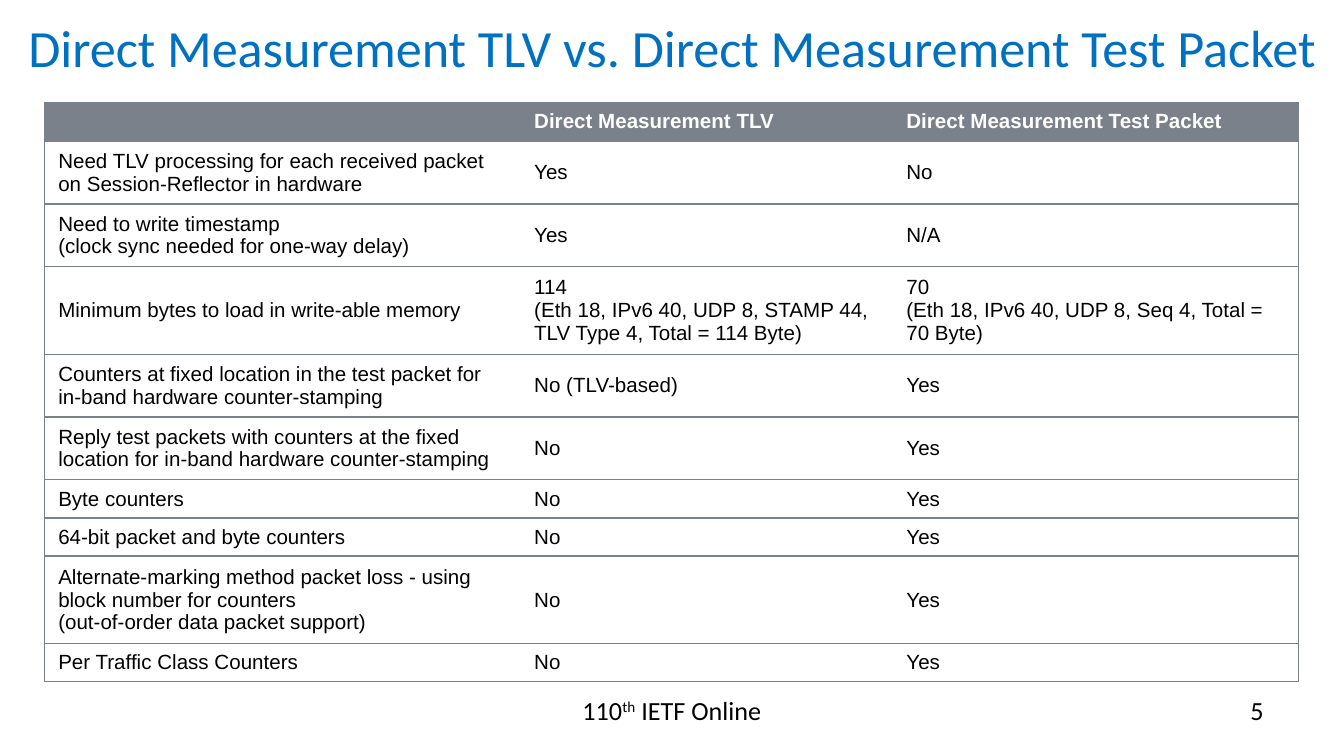
import pptx
import pptx.dml.color
import pptx.enum.text
import pptx.oxml.ns
import pptx.util
from lxml import etree

Pt = pptx.util.Pt
RGBColor = pptx.dml.color.RGBColor
Align = pptx.enum.text.PP_ALIGN
Anchor = pptx.enum.text.MSO_ANCHOR
qn = pptx.oxml.ns.qn

BLUE = RGBColor(0x00, 0x70, 0xC0)
GRAY = RGBColor(0x7B, 0x81, 0x8A)
BLACK = RGBColor(0x00, 0x00, 0x00)
WHITE = RGBColor(0xFF, 0xFF, 0xFF)

COLUMN_WIDTHS = [255, 199.4, 217.4]
LINE_HEIGHTS = {1: 19.5, 2: 31.6, 3: 43.9}
HEADER_HEIGHT = 20.9
HEADER = ["", "Direct Measurement TLV", "Direct Measurement Test Packet"]
ROWS = [
    (2, "Need TLV processing for each received packet on Session-Reflector in hardware", "Yes", "No"),
    (2, "Need to write timestamp\n(clock sync needed for one-way delay)", "Yes", "N/A"),
    (3, "Minimum bytes to load in write-able memory",
     "114\n(Eth 18, IPv6 40, UDP 8, STAMP 44, TLV Type 4, Total = 114 Byte)",
     "70\n(Eth 18, IPv6 40, UDP 8, Seq 4, Total = 70 Byte)"),
    (2, "Counters at fixed location in the test packet for in-band hardware counter-stamping",
     "No (TLV-based)", "Yes"),
    (2, "Reply test packets with counters at the fixed location for in-band hardware counter-stamping",
     "No", "Yes"),
    (1, "Byte counters", "No", "Yes"),
    (1, "64-bit packet and byte counters", "No", "Yes"),
    (3, "Alternate-marking method packet loss - using block number for counters\n"
        "(out-of-order data packet support)", "No", "Yes"),
    (1, "Per Traffic Class Counters", "No", "Yes"),
]


class Page:
    """Holds the slide and its style, and draws each kind of element."""

    def __init__(self, deck):
        self.slide = deck.slides.add_slide(deck.slide_layouts[6])
        self.text_font = "Calibri"
        self.table_font = "Arial"
        self.table_size = 11
        self.line_width = 0.75

    def style(self, font, name, size, color, bold=False):
        font.name = name
        font.size = Pt(size)
        font.color.rgb = color
        font.bold = bold

    def text(self, spans, left, top, width, height, size, color, align, anchor=Anchor.TOP):
        box = self.slide.shapes.add_textbox(Pt(left), Pt(top), Pt(width), Pt(height))
        frame = box.text_frame
        frame.word_wrap = True
        frame.vertical_anchor = anchor
        para = frame.paragraphs[0]
        para.alignment = align
        for words, baseline in spans:
            span = para.add_run()
            span.text = words
            self.style(span.font, self.text_font, size, color)
            if baseline:
                span._r.get_or_add_rPr().set("baseline", str(baseline * 1000))

    def border(self, cell, side, visible):
        properties = cell._tc.get_or_add_tcPr()
        line = etree.SubElement(properties, qn("a:ln" + side), w=str(Pt(self.line_width)))
        if visible:
            fill = etree.SubElement(line, qn("a:solidFill"))
            etree.SubElement(fill, qn("a:srgbClr"), val=str(GRAY))
        else:
            etree.SubElement(line, qn("a:noFill"))

    def cell(self, cell, words, is_header, sides):
        cell.vertical_anchor = Anchor.MIDDLE
        for side in "LRTB":
            self.border(cell, side, side in sides)
        cell.fill.solid()
        cell.fill.fore_color.rgb = GRAY if is_header else WHITE
        cell.text_frame.text = words
        color = WHITE if is_header else BLACK
        for para in cell.text_frame.paragraphs:
            self.style(para.font, self.table_font, self.table_size, color, is_header)
            for span in para.runs:
                self.style(span.font, self.table_font, self.table_size, color, is_header)

    def table(self, rows, heights, widths, left, top):
        table = self.slide.shapes.add_table(
            len(rows), len(widths), Pt(left), Pt(top), Pt(sum(widths)), Pt(sum(heights))).table
        for column, width in zip(table.columns, widths):
            column.width = Pt(width)
        for row, height in zip(table.rows, heights):
            row.height = Pt(height)
        outer_sides = {0: "L", len(widths) - 1: "R"}
        for row_index, row in enumerate(rows):
            for column_index, words in enumerate(row):
                sides = "TB" + outer_sides.get(column_index, "")
                self.cell(table.cell(row_index, column_index), words, row_index == 0, sides)


def main():
    deck = pptx.Presentation()
    deck.slide_width = Pt(720)
    deck.slide_height = Pt(405)
    page = Page(deck)
    page.text([("Direct Measurement TLV vs. Direct Measurement Test Packet", 0)],
              0, 0, 720, 50.4, 28, BLUE, Align.CENTER, Anchor.MIDDLE)
    heights = [HEADER_HEIGHT] + [LINE_HEIGHTS[row[0]] for row in ROWS]
    page.table([HEADER] + [row[1:] for row in ROWS], heights, COLUMN_WIDTHS, 24, 54.7)
    page.text([("110", 0), ("th", 30), (" IETF Online", 0)],
              246, 368.6, 228, 28, 14, BLACK, Align.CENTER)
    page.text([("5", 0)], 516, 368.6, 168, 28, 14, BLACK, Align.RIGHT)
    deck.save("out.pptx")


if __name__ == "__main__":
    main()
